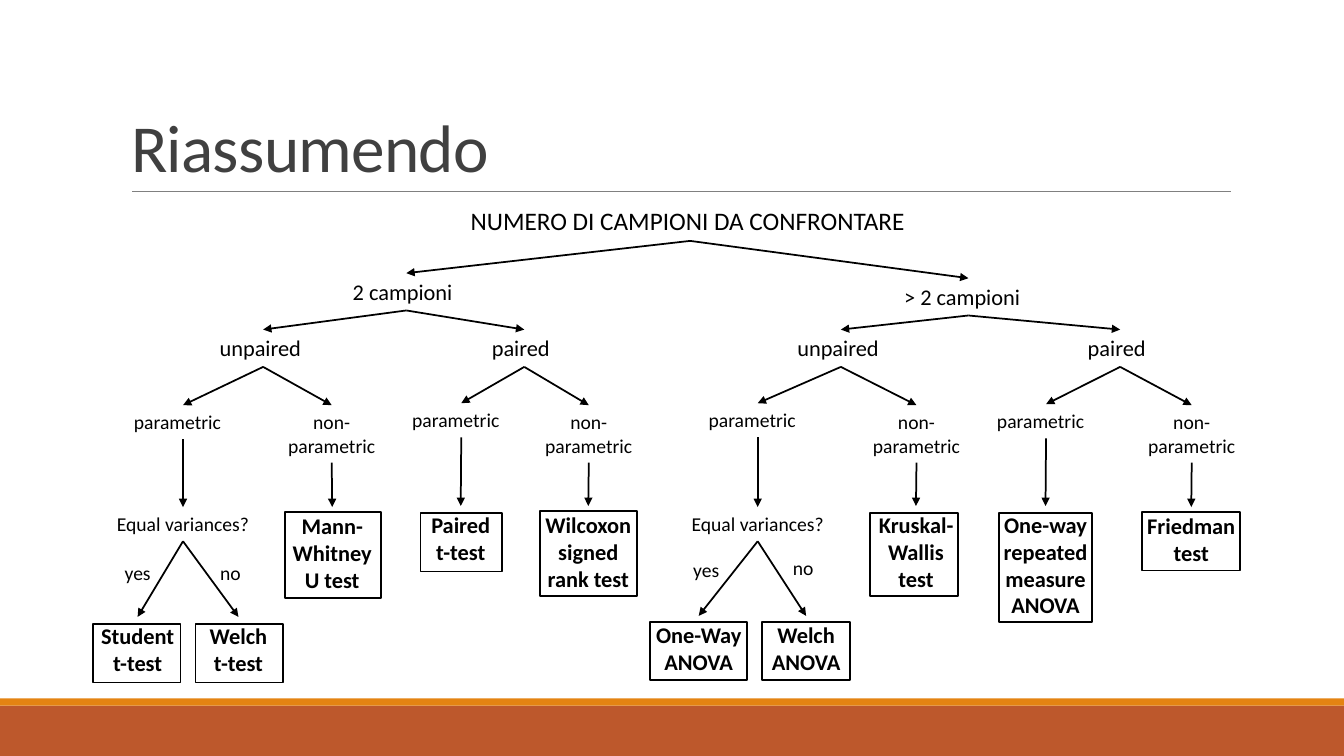
"""Draw a decision tree for choosing a statistical test."""
from dataclasses import dataclass
from typing import Optional

from lxml import etree
from pptx import Presentation
from pptx import util as u
from pptx.dml.color import RGBColor
from pptx.enum import shapes, text
from pptx.oxml import ns

Box = tuple[float, float, float, float]
HEX = {"black": "000000", "title": "404040", "rule": "808080",
       "rust": "BD582C", "amber": "E48312"}
FONT = "Calibri"
LEFT, MID = text.PP_ALIGN.LEFT, text.PP_ALIGN.CENTER


@dataclass(frozen=True)
class Style:
    size: float
    align: text.PP_ALIGN = LEFT
    bold: bool = False


@dataclass(frozen=True)
class Node:
    words: str
    box: Box
    style: Style
    kids: tuple["Node", ...] = ()
    frame: Optional[Box] = None


ROOT, BRANCH, KIND = Style(18), Style(16), Style(14)
NOTE, TEST = Style(14, MID), Style(16, MID, True)


def leaf(words: str, box: Box, frame: Box) -> Node:
    return Node(words, box, TEST, frame=frame)


def pair(x: float, *kids: Node) -> Node:
    return Node("paired", (x, 3.27, 0.84, 0.37), BRANCH, kids)


def unpair(x: float, *kids: Node) -> Node:
    return Node("unpaired", (x, 3.27, 1.06, 0.37), BRANCH, kids)


def param(x: float, y: float, kid: Node) -> Node:
    return Node("parametric", (x, y, 1.17, 0.34), KIND, (kid,))


def non(x: float, kid: Node) -> Node:
    return Node("non-parametric", (x, 4.02, 1.14, 0.57), NOTE, (kid,))


def equal(x: float, *kids: Node) -> Node:
    return Node("Equal variances?", (x, 5.03, 1.55, 0.34), NOTE, kids)


TREE = Node("NUMERO DI CAMPIONI DA CONFRONTARE", (4.57, 1.99, 4.55, 0.4), ROOT, (
    Node("2 campioni", (3.4, 2.71, 1.26, 0.37), BRANCH, (
        unpair(
            2.08,
            param(1.23, 4.02, equal(
                1.04,
                leaf("Student t-test", (0.85, 6.12, 1.03, 0.64), (0.92, 6.19, 0.87, 0.58)),
                leaf("Welch t-test", (1.93, 6.12, 0.87, 0.64), (1.94, 6.19, 0.87, 0.58)))),
            non(2.72, leaf("Mann-Whitney U test", (2.78, 5.03, 1.03, 0.91),
                           (2.83, 5.08, 0.95, 0.85)))),
        pair(
            4.78,
            param(3.99, 4, leaf("Paired t-test", (4.16, 5.02, 0.82, 0.64),
                                (4.17, 5.09, 0.81, 0.58))),
            non(5.27, leaf("Wilcoxon signed rank test", (5.23, 5.02, 1.21, 0.91),
                           (5.36, 5.07, 0.96, 0.84)))))),
    Node("> 2 campioni", (8.87, 2.76, 1.47, 0.37), BRANCH, (
        unpair(
            7.81,
            param(6.93, 4, equal(
                6.74,
                leaf("One-Way ANOVA", (6.39, 6.11, 1.08, 0.64), (6.45, 6.17, 0.96, 0.58)),
                leaf("Welch ANOVA", (7.49, 6.11, 1.01, 0.64), (7.56, 6.17, 0.87, 0.58)))),
            non(8.52, leaf("Kruskal-Wallis test", (8.57, 5.02, 1.03, 0.91),
                           (8.63, 5.09, 0.87, 0.82)))),
        pair(
            10.69,
            param(9.79, 4.01, leaf("One-way repeated measure ANOVA", (9.83, 5.02, 1.08, 1.18),
                                   (9.91, 5.09, 0.92, 1.08))),
            non(11.25, leaf("Friedman test", (11.21, 5.03, 1.21, 0.64),
                            (11.33, 5.08, 0.97, 0.58))))))))

NOTES = [Node(words, (x, y, 0.55, 0.34), NOTE) for words, x, y in (
    ("yes", 1.09, 5.52), ("no", 2.01, 5.52), ("yes", 6.73, 5.49), ("no", 7.69, 5.47))]


def tint(name: str) -> RGBColor:
    return RGBColor.from_string(HEX[name])


def inches(box: Box) -> list[u.Length]:
    return [u.Inches(side) for side in box]


def write(frame, words: str, style: Style, hue: str = "black"):
    para = frame.paragraphs[0]
    para.alignment = style.align
    run = para.add_run()
    run.text = words
    font = run.font
    font.name, font.size, font.bold = FONT, u.Pt(style.size), style.bold
    font.color.rgb = tint(hue)
    return run


def rect(slide, box: Box, fill: Optional[str] = None) -> None:
    shape = slide.shapes.add_shape(shapes.MSO_SHAPE.RECTANGLE, *inches(box))
    shape.shadow.inherit = False
    if fill:
        shape.fill.solid()
        shape.fill.fore_color.rgb = tint(fill)
        shape.line.fill.background()
    else:
        shape.fill.background()
        shape.line.color.rgb = tint("black")
        shape.line.width = u.Pt(1.25)


def line(slide, ends: Box, hue: str = "black", width: float = 1.25,
         head: bool = True) -> None:
    link = slide.shapes.add_connector(shapes.MSO_CONNECTOR.STRAIGHT, *inches(ends))
    link.line.color.rgb = tint(hue)
    link.line.width = u.Pt(width)
    if head:
        etree.SubElement(link.line._get_or_add_ln(), ns.qn("a:tailEnd"), type="triangle")
    etree.SubElement(link._element.spPr, ns.qn("a:effectLst"))


def label(slide, node: Node) -> None:
    frame = slide.shapes.add_textbox(*inches(node.box)).text_frame
    frame.word_wrap = True
    frame.auto_size = text.MSO_AUTO_SIZE.SHAPE_TO_FIT_TEXT
    write(frame, node.words, node.style)


def draw(slide, node: Node) -> None:
    label(slide, node)
    if node.frame:
        rect(slide, node.frame)
    x, y, w, h = node.box
    for kid in node.kids:
        left, top, wide, _ = kid.box
        line(slide, (x + w / 2, y + h, left + wide / 2, top))
        draw(slide, kid)


def head(slide) -> None:
    title = slide.shapes.title
    title.left, title.top, title.width, title.height = inches((1.2, 0.31, 11, 1.59))
    frame = title.text_frame
    frame.word_wrap = True
    frame.auto_size = text.MSO_AUTO_SIZE.NONE
    frame.vertical_anchor = text.MSO_ANCHOR.BOTTOM
    run = write(frame, "Riassumendo", Style(48), "title")
    run.font._element.set("spc", "-50")
    frame.paragraphs[0].line_spacing = 0.85


def main() -> None:
    deck = Presentation()
    deck.slide_width, deck.slide_height = u.Inches(13.33), u.Inches(7.5)
    slide = deck.slides.add_slide(deck.slide_layouts.get_by_name("Title Only"))
    rect(slide, (0, 7, 13.33, 0.5), "rust")
    rect(slide, (0, 6.93, 13.33, 0.07), "amber")
    line(slide, (1.31, 1.9, 12.21, 1.9), "rule", 0.5, False)
    head(slide)
    draw(slide, TREE)
    for note in NOTES:
        label(slide, note)
    deck.save("out.pptx")


if __name__ == "__main__":
    main()
